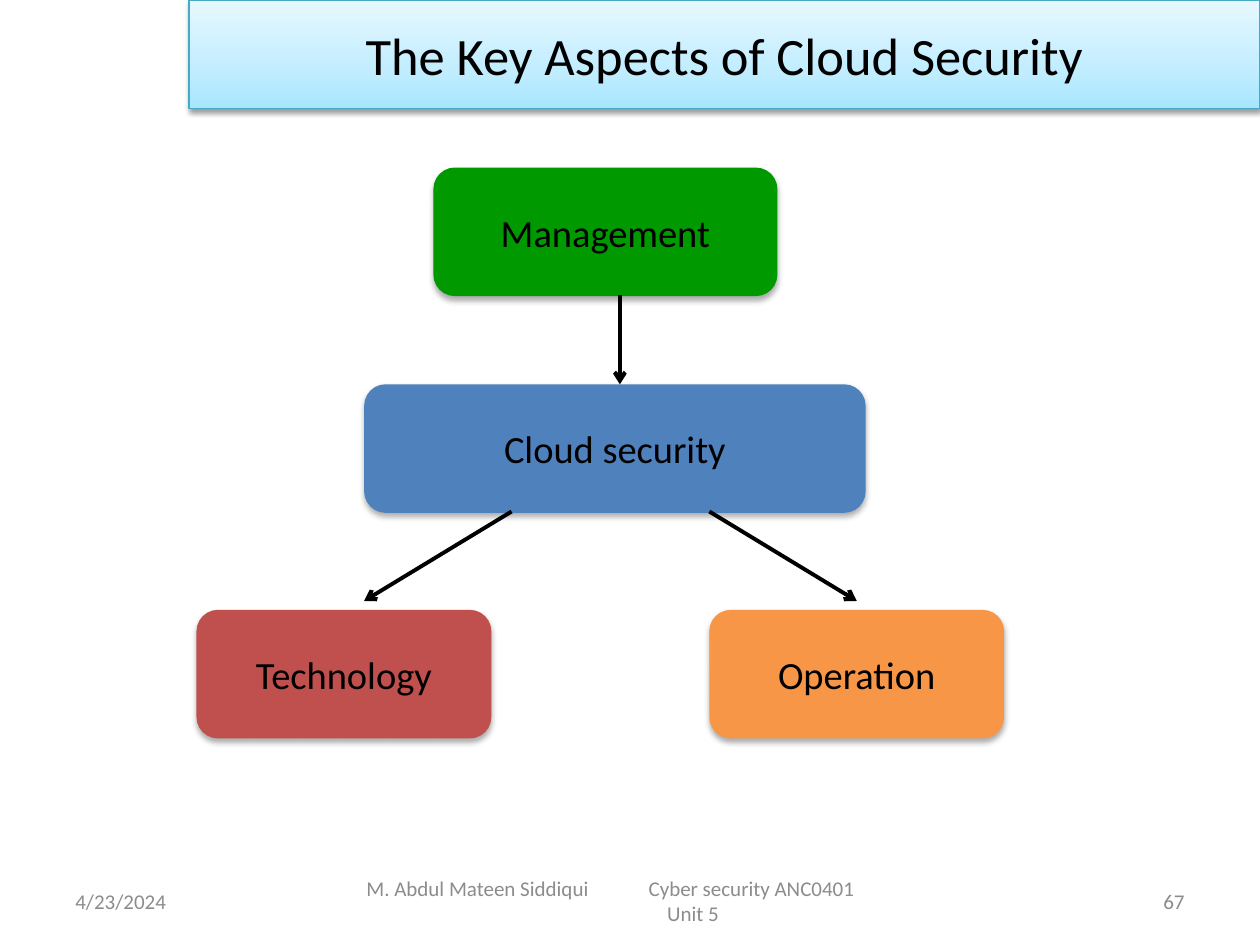
from copy import deepcopy
from lxml import etree
from pptx import Presentation
from pptx.dml.color import RGBColor
from pptx.enum import shapes, text
from pptx.oxml.ns import qn
from pptx.util import Inches, Pt

LEFT, MID, RIGHT = text.PP_ALIGN.LEFT, text.PP_ALIGN.CENTER, text.PP_ALIGN.RIGHT
KIND = shapes.MSO_SHAPE


def write(frame, lines, size, color):
    """Fill a frame with (words, alignment) paragraphs, centred in height."""
    frame.word_wrap = True
    frame.vertical_anchor = text.MSO_ANCHOR.MIDDLE
    for i, (words, align) in enumerate(lines):
        para = frame.add_paragraph() if i else frame.paragraphs[0]
        para.alignment = align
        run = para.add_run()
        run.text = words
        run.font.name, run.font.size = "Calibri", Pt(size)
        run.font.color.rgb = RGBColor.from_string(color)


def shade(shape, alpha, blur, dist):
    """Give a shape a black shadow straight below it."""
    shape.shadow.inherit = False
    effect = shape._element.spPr.find(qn("a:effectLst"))
    outer = etree.SubElement(effect, qn("a:outerShdw"), blurRad=str(Pt(blur)),
                             dist=str(Pt(dist)), dir="5400000", rotWithShape="0")
    black = etree.SubElement(outer, qn("a:srgbClr"), val="000000")
    etree.SubElement(black, qn("a:alpha"), val=str(alpha * 1000))


deck = Presentation()
deck.slide_width, deck.slide_height = Inches(10), Inches(7.5)
slide = deck.slides.add_slide(deck.slide_layouts[6])

# Footer: date, course and page number
footer = [
    (0.5, 2.33, [("4/23/2024", LEFT)]),
    (2.75, 5.5, [("M. Abdul Mateen Siddiqui\tCyber security ANC0401", LEFT),
                 ("Unit 5", MID)]),
    (7.17, 2.33, [("67", RIGHT)]),
]
for left, width, lines in footer:
    box = slide.shapes.add_textbox(Inches(left), Inches(6.95), Inches(width), Inches(0.4))
    write(box.text_frame, lines, 12, "8C8C8C")
    if len(lines) > 1:
        props = box.text_frame.paragraphs[0]._p.get_or_add_pPr()
        props.set("marL", str(Inches(0.06)))
        tabs = etree.SubElement(props, qn("a:tabLst"))
        etree.SubElement(tabs, qn("a:tab"), pos=str(Inches(2.24)), algn="l")

# Title bar
bar = slide.shapes.add_shape(KIND.RECTANGLE, Inches(1.5), 0, Inches(8.5), Inches(0.86))
bar.fill.gradient()
bar.fill.gradient_angle = 90
first = bar._element.spPr.find(".//" + qn("a:gs"))
first.addnext(deepcopy(first))
tints = [(0, "A7E6FF"), (0.35, "C1EDFF"), (1, "E7F8FF")]
for stop, (place, tint) in zip(bar.fill.gradient_stops, tints):
    stop.position = place
    stop.color.rgb = RGBColor.from_string(tint)
bar.line.color.rgb = RGBColor.from_string("46AAC5")
bar.line.width = Pt(0.75)
shade(bar, 38, 3.1, 1.6)
write(bar.text_frame, [("The Key Aspects of Cloud Security", MID)], 30, "000000")

# Aspects
aspects = [
    ("Management", 3.44, 1.33, 2.73, "009900"),
    ("Cloud security", 2.89, 3.05, 3.98, "4F81BD"),
    ("Technology", 1.56, 4.84, 2.34, "C0504D"),
    ("Operation", 5.63, 4.84, 2.34, "F79646"),
]
for name, left, top, width, color in aspects:
    card = slide.shapes.add_shape(KIND.ROUNDED_RECTANGLE, Inches(left), Inches(top),
                                  Inches(width), Inches(1.02))
    card.fill.solid()
    card.fill.fore_color.rgb = RGBColor.from_string(color)
    card.line.fill.background()
    shade(card, 32, 3.5, 2.2)
    write(card.text_frame, [(name, MID)], 22, "000000")

# Arrows
for ends in [(4.92, 2.34, 4.92, 3.05), (4.06, 4.06, 2.89, 4.77), (5.63, 4.06, 6.8, 4.77)]:
    arrow = slide.shapes.add_connector(shapes.MSO_CONNECTOR.STRAIGHT, *map(Inches, ends))
    arrow.line.color.rgb = RGBColor.from_string("000000")
    arrow.line.width = Pt(2.25)
    etree.SubElement(arrow.line._get_or_add_ln(), qn("a:tailEnd"), type="arrow")
    etree.SubElement(arrow._element.spPr, qn("a:effectLst"))

deck.save("out.pptx")
